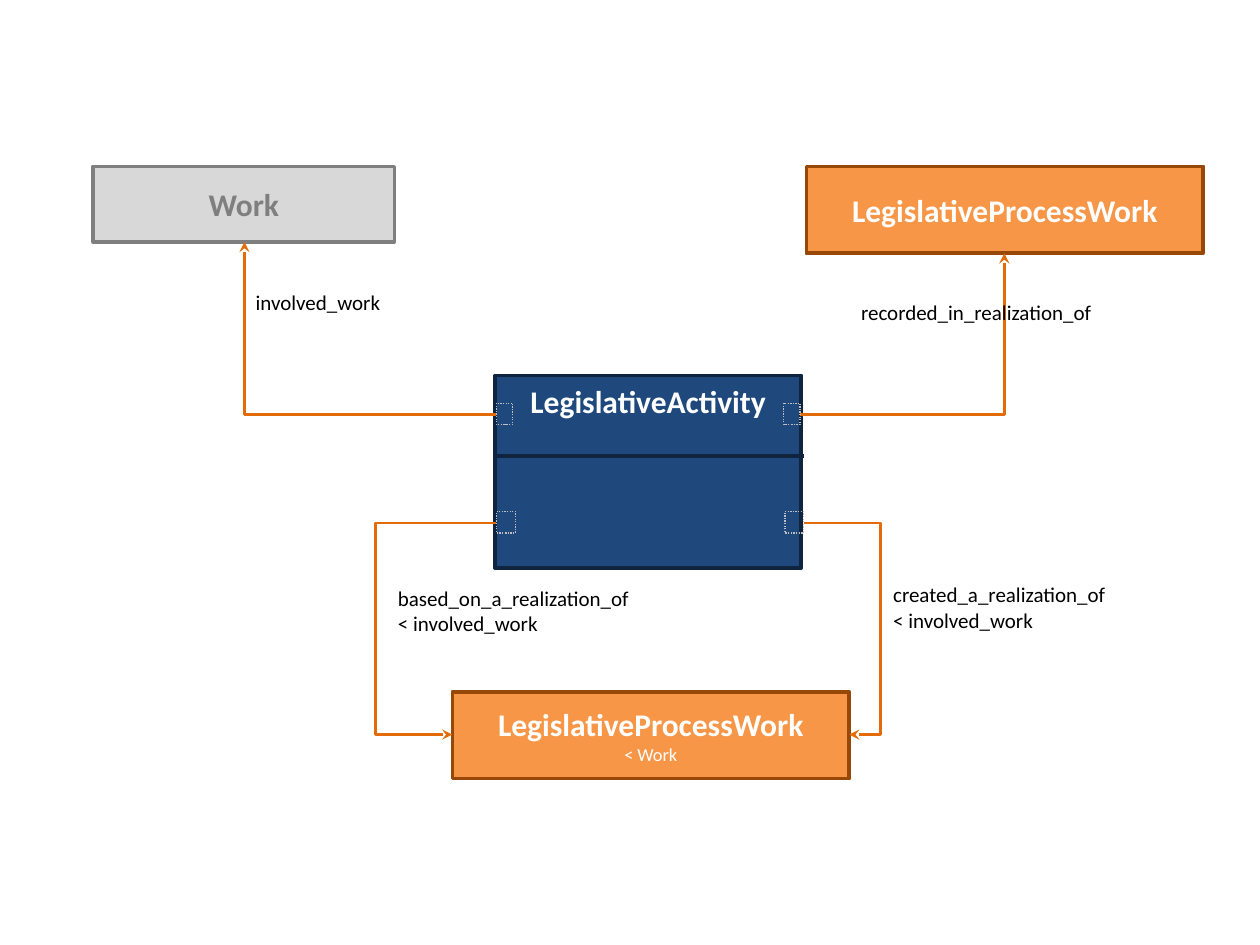
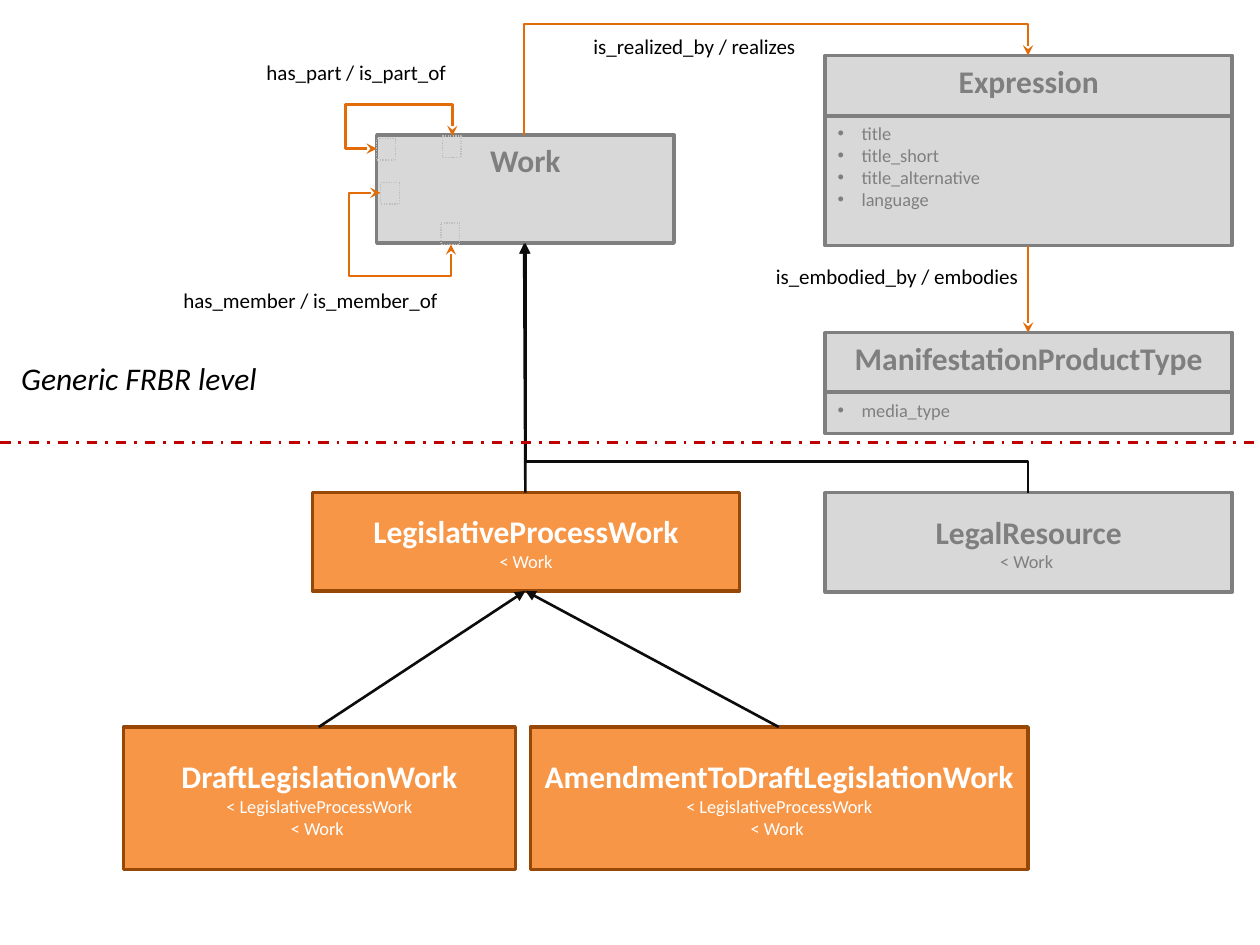
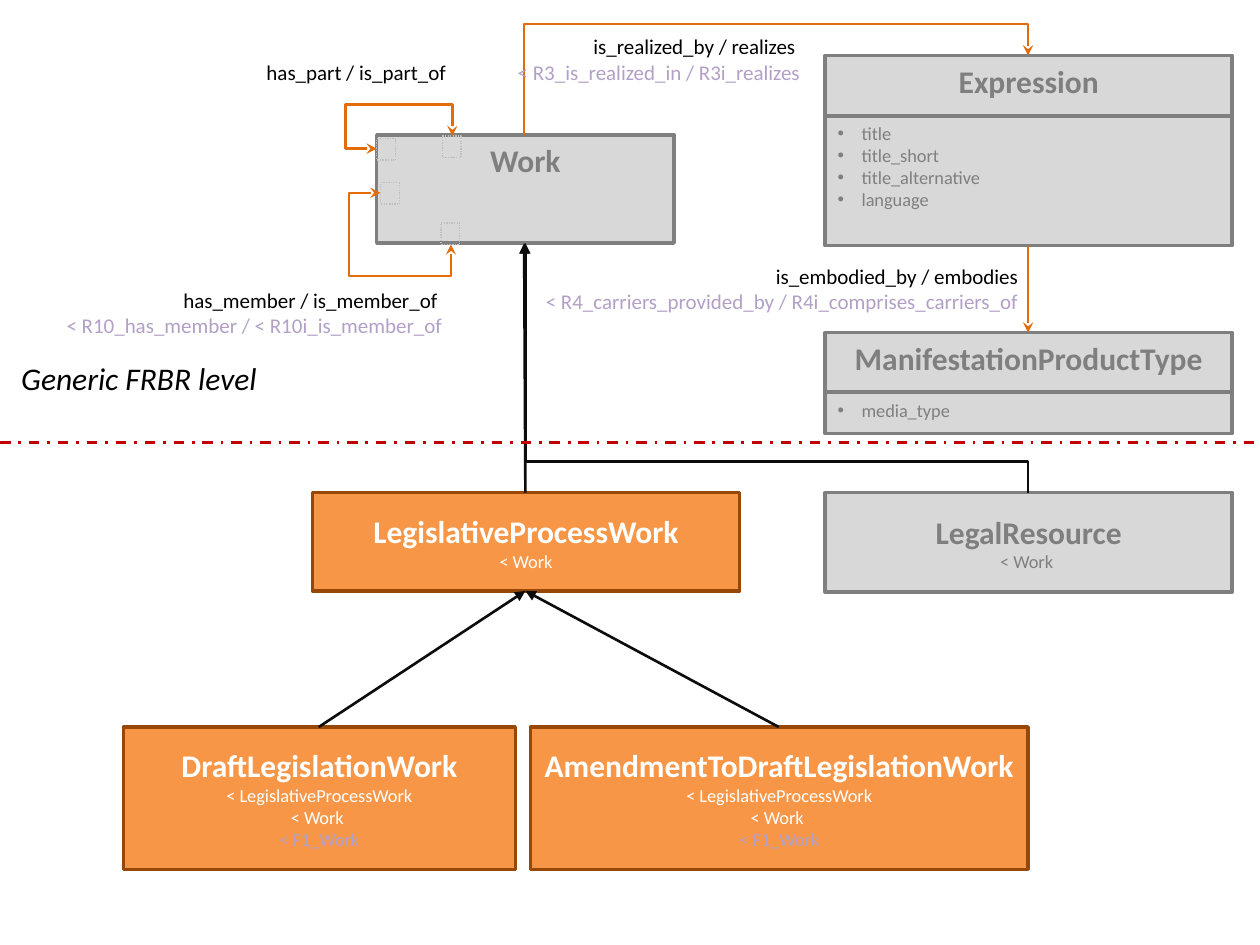
from dataclasses import dataclass

from lxml import etree
from pptx import Presentation
from pptx import util as u
from pptx.dml.color import RGBColor
from pptx.enum import dml, shapes, text
from pptx.oxml import ns

PX = 9144  # EMU in one px, 100 px to the inch


@dataclass(frozen=True)
class Theme:
    font = "Calibri"
    relation = "E36C09"
    inherits = "0C0C0C"
    level = "C00000"
    divider_blue = "0F243E"
    divider_grey = "7F7F7F"
    thin = 1.5
    thick = 2
    # box kind: fill, outline, outline width, text colour
    boxes = {
        "activity": ("1F497D", "0F243E", 2, "FFFFFF"),
        "process": ("F79646", "974806", 2, "FFFFFF"),
        "generic": ("D8D8D8", "7F7F7F", 2, "7F7F7F"),
        "anchor": (None, "BFBFBF", 0.75, "7F7F7F"),
    }
    # text style: size, bold, italic, colour (None takes the colour of the box)
    styles = {
        "name": (18, True, False, None),
        "parent": (10.5, False, False, None),
        "mapped_parent": (10.5, False, False, "B2A0C7"),
        "bullet": (10.5, False, False, None),
        "label": (12, False, False, "000000"),
        "mapped_label": (12, False, False, "B2A0C7"),
        "level": (18, False, True, "000000"),
    }
    bullet_indent = 19
    bullet_gap = 12.8


THEME = Theme()


def add_box(page, kind, place, lines=(), align="CENTER", anchor="MIDDLE"):
    """Add a class box, or a plain text box when kind is None; lines are (style, text)."""
    left, top, width, height = (n * PX for n in place)
    if kind:
        fill, outline, weight, ink = THEME.boxes[kind]
        box = page.shapes.add_shape(shapes.MSO_SHAPE.RECTANGLE, left, top, width, height)
        box.shadow.inherit = False
        if fill:
            box.fill.solid()
            box.fill.fore_color.rgb = RGBColor.from_string(fill)
        else:
            box.fill.background()
        box.line.color.rgb = RGBColor.from_string(outline)
        box.line.width = u.Pt(weight)
        if kind == "anchor":
            box.line.dash_style = dml.MSO_LINE.ROUND_DOT
    else:
        box = page.shapes.add_textbox(left, top, width, height)
        ink = None
    frame = box.text_frame
    frame.word_wrap = True
    frame.vertical_anchor = getattr(text.MSO_ANCHOR, anchor)
    previous = None
    for number, (style, words) in enumerate(lines):
        para = frame.add_paragraph() if number else frame.paragraphs[0]
        para.alignment = getattr(text.PP_ALIGN, "LEFT" if style == "bullet" else align)
        size, bold, italic, colour = THEME.styles[style]
        span = para.add_run()
        span.text = words
        span.font.name = THEME.font
        span.font.size = u.Pt(size)
        span.font.bold = bold
        span.font.italic = italic
        span.font.color.rgb = RGBColor.from_string(colour or ink)
        if style == "bullet":
            if previous == "name":
                para.space_before = u.Pt(THEME.bullet_gap)
            props = para._p.get_or_add_pPr()
            props.set("marL", str(THEME.bullet_indent * PX))
            props.set("indent", str(-THEME.bullet_indent * PX))
            etree.SubElement(props, ns.qn("a:buFont"), typeface="Arial")
            etree.SubElement(props, ns.qn("a:buChar"), char="•")
        previous = style


def add_route(page, points, colour, weight=THEME.thin, head=None, tail=None, dash=None):
    """Join the points with one straight or bent connector."""
    (x1, y1), (x2, y2) = points[0], points[-1]
    bent = len(points) > 2
    style = shapes.MSO_CONNECTOR.ELBOW if bent else shapes.MSO_CONNECTOR.STRAIGHT
    line = page.shapes.add_connector(style, x1 * PX, y1 * PX, x2 * PX, y2 * PX)
    props = line._element.spPr
    if bent:
        # A bent preset leaves sideways, so a route that leaves up or down is turned by 90°.
        upright = points[1][0] == x1
        run, rise = (y2 - y1, x1 - x2) if upright else (x2 - x1, y2 - y1)
        turn = 90 * upright + 180 * (rise < 0)
        flip = (run < 0) != (rise < 0)
        line.left = (x1 + x2 - abs(run)) * PX // 2
        line.top = (y1 + y2 - abs(rise)) * PX // 2
        line.width, line.height = abs(run) * PX, abs(rise) * PX
        frame = props.find(ns.qn("a:xfrm"))
        frame.set("rot", str(turn * 60000))
        frame.set("flipH", str(int(flip)))
        frame.set("flipV", "0")
        preset = props.find(ns.qn("a:prstGeom"))
        preset.set("prst", f"bentConnector{len(points) - 1}")
        guides = preset.find(ns.qn("a:avLst"))
        for number, via in enumerate(points[1:-2], 1):
            axis = (number - 1 + upright) % 2
            share = (via[axis] - points[0][axis]) / (points[-1][axis] - points[0][axis])
            etree.SubElement(guides, ns.qn("a:gd"), name=f"adj{number}",
                             fmla=f"val {round(share * 100000)}")
    line.line.color.rgb = RGBColor.from_string(colour)
    line.line.width = u.Pt(weight)
    if dash:
        line.line.dash_style = dash
    stroke = props.find(ns.qn("a:ln"))
    for end, arrow in (("a:headEnd", head), ("a:tailEnd", tail)):
        if arrow:
            etree.SubElement(stroke, ns.qn(end), type=arrow)
    etree.SubElement(props, ns.qn("a:effectLst"))


deck = Presentation()
deck.slide_width, deck.slide_height = 1000 * PX, 750 * PX
blank = deck.slide_layouts[6]

# Slide 1: the activity and the works it touches
page = deck.slides.add_slide(blank)
process_name = ("name", "LegislativeProcessWork")
add_box(page, "activity", (393, 298, 243, 153), [("name", "LegislativeActivity")], anchor="TOP")
add_box(page, "process", (359, 549, 315, 69), [process_name, ("parent", "< Work")])
add_box(page, "process", (640, 132, 315, 69), [process_name])
add_box(page, "generic", (74, 132, 239, 60), [("name", "Work")])
add_route(page, [(394, 362), (638, 362)], THEME.divider_blue, THEME.thick)
for points in (
    [(394, 415), (298, 415), (298, 583), (359, 583)],
    [(638, 415), (699, 415), (699, 583), (674, 583)],
    [(635, 329), (797, 329), (797, 201)],
    [(394, 329), (194, 329), (194, 192)],
):
    add_route(page, points, THEME.relation, tail="stealth")
for place in ((394, 406, 15, 17), (623, 406, 15, 17), (394, 320, 13, 17), (622, 320, 13, 17)):
    add_box(page, "anchor", place)
for place, align, lines in (
    ((699, 457, 282, 50), "LEFT", ["created_a_realization_of", "< involved_work"]),
    ((306, 460, 297, 50), "LEFT", ["based_on_a_realization_of", "< involved_work"]),
    ((668, 233, 208, 30), "RIGHT", ["recorded_in_realization_of"]),
    ((193, 225, 269, 30), "LEFT", ["involved_work"]),
):
    add_box(page, None, place, [("label", words) for words in lines], align, "TOP")

# Slides 2 and 3: the class hierarchy, without and with its mapping
for mapped in (False, True):
    page = deck.slides.add_slide(blank)
    draft_parents = [("parent", "< LegislativeProcessWork"), ("parent", "< Work ")]
    if mapped:
        draft_parents.append(("mapped_parent", "< F1_Work"))
    add_box(page, "process", (98, 577, 311, 113),
            [("name", "DraftLegislationWork")] + draft_parents)
    add_box(page, "process", (421, 577, 395, 113),
            [("name", "AmendmentToDraftLegislationWork")] + draft_parents)
    add_box(page, "process", (248, 391, 339, 78), [process_name, ("parent", "< Work")])
    add_box(page, "generic", (655, 391, 323, 79),
            [("name", "LegalResource"), ("parent", "< Work ")])
    add_box(page, "generic", (299, 107, 236, 86), [("name", "Work")], anchor="TOP")
    for top, height, name, fields, divider in (
        (44, 151, "Expression", ["title", "title_short", "title_alternative", "language"], 92),
        (264, 80, "ManifestationProductType", ["media_type"], 311),
    ):
        add_box(page, "generic", (655, top, 323, height),
                [("name", name)] + [("bullet", field) for field in fields], anchor="TOP")
        add_route(page, [(655, divider), (978, divider)], THEME.divider_grey, THEME.thick)

    for points in (
        [(253, 577), (417, 469)],
        [(618, 577), (417, 469)],
        [(417, 391), (416, 193)],
        [(816, 391), (816, 366), (417, 366), (417, 193)],
    ):
        add_route(page, points, THEME.inherits, tail="triangle")
    for points, head in (
        ([(416, 107), (416, 19), (816, 19), (816, 44)], None),
        ([(816, 195), (816, 264)], None),
        ([(358, 194), (358, 219), (277, 219), (277, 153), (302, 153)], "stealth"),
        ([(359, 108), (359, 83), (274, 83), (274, 118), (299, 118)], "stealth"),
    ):
        add_route(page, points, THEME.relation, head=head, tail="stealth")
    add_route(page, [(0, 351), (1000, 351)], THEME.level, dash=dml.MSO_LINE.DASH_DOT)
    for left, top in ((350, 177), (351, 108), (302, 145), (299, 110)):
        add_box(page, "anchor", (left, top, 15, 17))

    for left, top, width, words, mapping in (
        (38, 223, 323, "has_member / is_member_of ", "< R10_has_member / < R10i_is_member_of"),
        (322, 22, 323, "is_realized_by / realizes ", "< R3_is_realized_in / R3i_realizes"),
        (377, 204, 441, "is_embodied_by / embodies",
         "< R4_carriers_provided_by / R4i_comprises_carriers_of"),
        (41, 42, 323, "has_part / is_part_of", None),
    ):
        lines = [("label", words)]
        if mapped and mapping:
            lines.append(("mapped_label", mapping))
        add_box(page, None, (left, top, width, 10 + 20 * len(lines)), lines, "RIGHT", "TOP")
    add_box(page, None, (7, 280, 250, 40), [("level", "Generic FRBR level")], "LEFT", "TOP")

deck.save("out.pptx")
